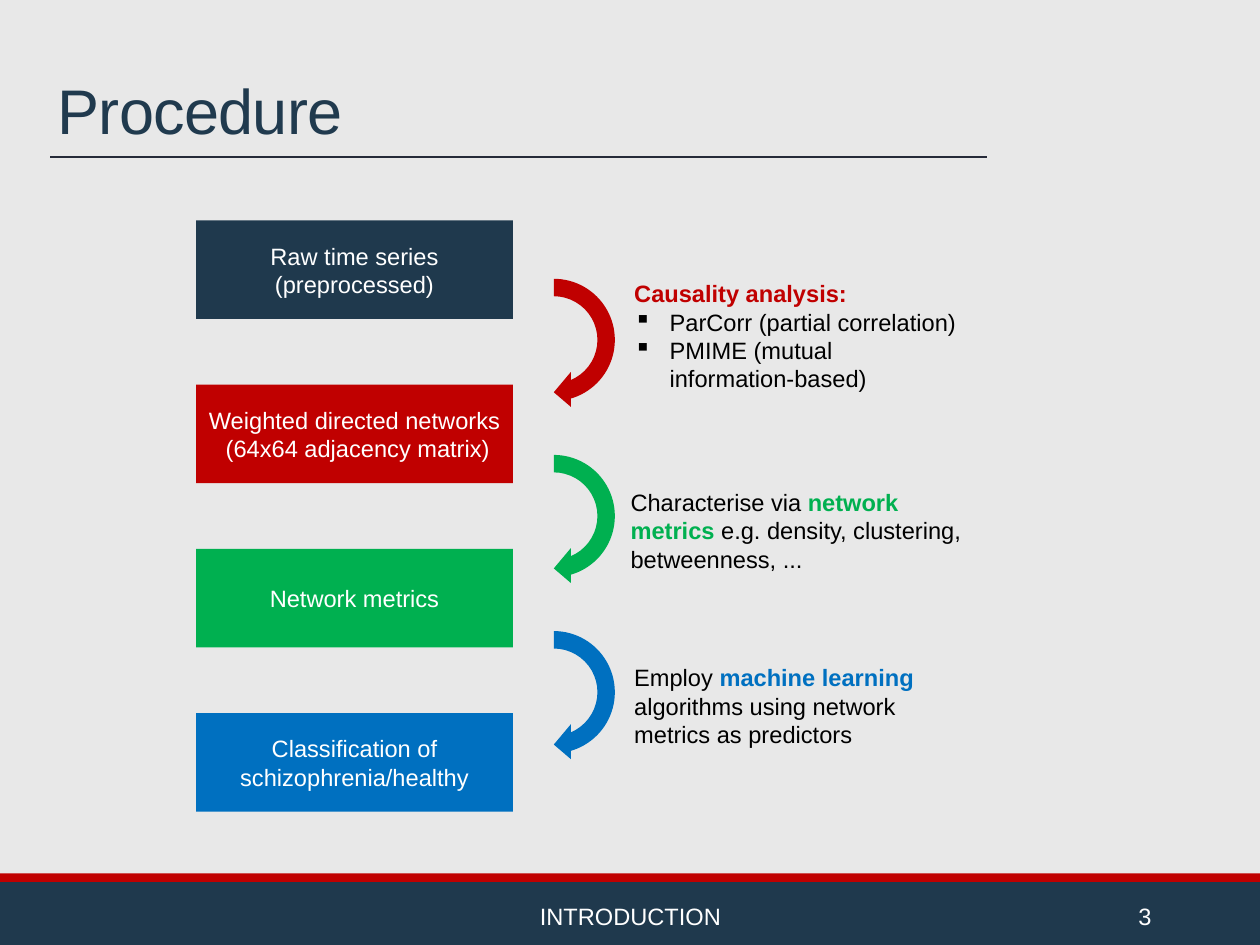
from pptx import Presentation
from pptx import util as u
from pptx.dml import color as dml
from pptx.enum import shapes, text
from pptx.oxml import ns, xmlchemy as xc

NAVY, RED, GREEN, BLUE = "1F394D", "C00000", "00B050", "0070C0"
WHITE, BLACK = "FFFFFF", "000000"
MID, TOP, LOW = (text.MSO_ANCHOR.MIDDLE, text.MSO_ANCHOR.TOP,
                 text.MSO_ANCHOR.BOTTOM)
LEFT, MIDST, RIGHT = (text.PP_ALIGN.LEFT, text.PP_ALIGN.CENTER,
                      text.PP_ALIGN.RIGHT)
FONT = {"name": "Arial", "size": u.Pt(24), "bold": False}


def tint(part, code):
    part.rgb = dml.RGBColor.from_string(code)


def style(part, values):
    for name, value in values.items():
        setattr(part, name, value)


def cut(box, left, top, width, height):
    x, y, w, h = box
    return (int(x + w * left / 100), int(y + h * top / 100),
            int(w * width / 100), int(h * height / 100))


def block(slide, kind, box, fill):
    shape = slide.shapes.add_shape(kind, *box)
    shape.shadow.inherit = False
    shape.fill.solid()
    tint(shape.fill.fore_color, fill)
    shape.line.fill.background()
    return shape


def bullet(para):
    props = para._p.get_or_add_pPr()
    props.set("marL", str(u.Inches(0.5)))
    props.set("indent", str(u.Inches(-0.5)))
    mark = xc.OxmlElement("a:buChar")
    mark.set("char", "▪")
    props.append(mark)


def write(frame, paras, align, anchor):
    style(frame, {"word_wrap": True, "vertical_anchor": anchor})
    for i, (dot, runs) in enumerate(paras):
        para = frame.add_paragraph() if i else frame.paragraphs[0]
        para.alignment = align
        if dot:
            bullet(para)
        for words, hue, bold in runs:
            run = para.add_run()
            run.text = words
            style(run.font, {**FONT, "bold": bold})
            tint(run.font.color, hue)


def label(slide, box, paras, align=LEFT, anchor=TOP):
    write(slide.shapes.add_textbox(*box).text_frame, paras, align, anchor)


def plain(words, hue=WHITE):
    return False, [(words, hue, False)]


def foot(slide, box, name, number):
    rect = shapes.MSO_SHAPE.RECTANGLE
    block(slide, rect, cut(box, 0, 11.88, 100, 88.12), NAVY)
    block(slide, rect, cut(box, 0, 0, 100, 11.88), RED)
    for x, w, words, align in ((30.26, 39.54, name, MIDST),
                               (81.21, 10.74, number, RIGHT)):
        label(slide, cut(box, x, 23.76, w, 70.3), [plain(words)], align, MID)


def head(slide, box, words):
    title = slide.shapes.title
    spot = cut(box, 0, 0, 100, 94.77)
    style(title, dict(zip(("left", "top", "width", "height"), spot)))
    write(title.text_frame, [plain(words, "203A4E")], LEFT, LOW)
    para = title.text_frame.paragraphs[0]
    para.line_spacing = 0.85
    font = para.runs[0].font
    font.size = u.Pt(64)
    para.runs[0]._r.get_or_add_rPr().set("spc", "-70")
    x, y, w, h = box
    rule = slide.shapes.add_connector(shapes.MSO_CONNECTOR.STRAIGHT,
                                      x, y + h, x + w, y + h)
    rule.line.width = u.Pt(2)
    tint(rule.line.color, "262B39")
    rule._element.find(ns.qn("p:spPr")).append(xc.OxmlElement("a:effectLst"))


def steps(slide, box, items):
    high = 100 / 6
    gap = (100 - high) / (len(items) - 1)
    for i, (fill, lines) in enumerate(items):
        shape = block(slide, shapes.MSO_SHAPE.RECTANGLE,
                      cut(box, 0, i * gap, 100, high), fill)
        write(shape.text_frame, [plain(line) for line in lines], MIDST, MID)


def turns(slide, box, hues):
    x, y, side, h = box
    gap = (h - side) // (len(hues) - 1)
    for i, hue in enumerate(hues):
        arrow = block(slide, shapes.MSO_SHAPE.CIRCULAR_ARROW,
                      (x, y + i * gap, side, side), hue)
        arrow.rotation = 90


def notes(slide, box, items):
    for spot, paras in items:
        label(slide, cut(box, *spot), paras)


deck = Presentation()
style(deck, {"slide_width": u.Inches(17.78), "slide_height": u.Inches(13.33)})
page = (0, 0, deck.slide_width, deck.slide_height)
slide = deck.slides.add_slide(deck.slide_layouts[5])
slide.background.fill.solid()
tint(slide.background.fill.fore_color, "E8E8E8")

foot(slide, cut(page, 0, 92.42, 100, 7.58), "INTRODUCTION", "3")
head(slide, cut(page, 4, 5.1, 74.33, 11.48), "Procedure")
steps(slide, cut(page, 15.56, 23.33, 25.14, 62.57), [
    (NAVY, ["Raw time series (preprocessed)"]),
    (RED, ["Weighted directed networks", " (64x64 adjacency matrix)"]),
    (GREEN, ["Network metrics"]),
    (BLUE, ["Classification of schizophrenia/healthy"]),
])
turns(slide, cut(page, 38.41, 28.58, 11.08, 52.06), [RED, GREEN, BLUE])
notes(slide, cut(page, 49.49, 29.18, 28.85, 50.49), [
    ((1, 0, 93.4, 25.6), [
        (False, [("Causality analysis:", RED, True)]),
        (True, [("ParCorr (partial correlation)", BLACK, False)]),
        (True, [("PMIME (mutual information-based)", BLACK, False)]),
    ]),
    ((0, 43.7, 100, 19.5), [
        (False, [("Characterise via ", BLACK, False),
                 ("network metrics ", GREEN, True),
                 ("e.g. density, clustering, betweenness, ...",
                  BLACK, False)]),
    ]),
    ((1, 80.5, 85.2, 19.5), [
        (False, [("Employ ", BLACK, False),
                 ("machine learning ", BLUE, True),
                 ("algorithms using network metrics as predictors",
                  BLACK, False)]),
    ]),
])
deck.save("out.pptx")
